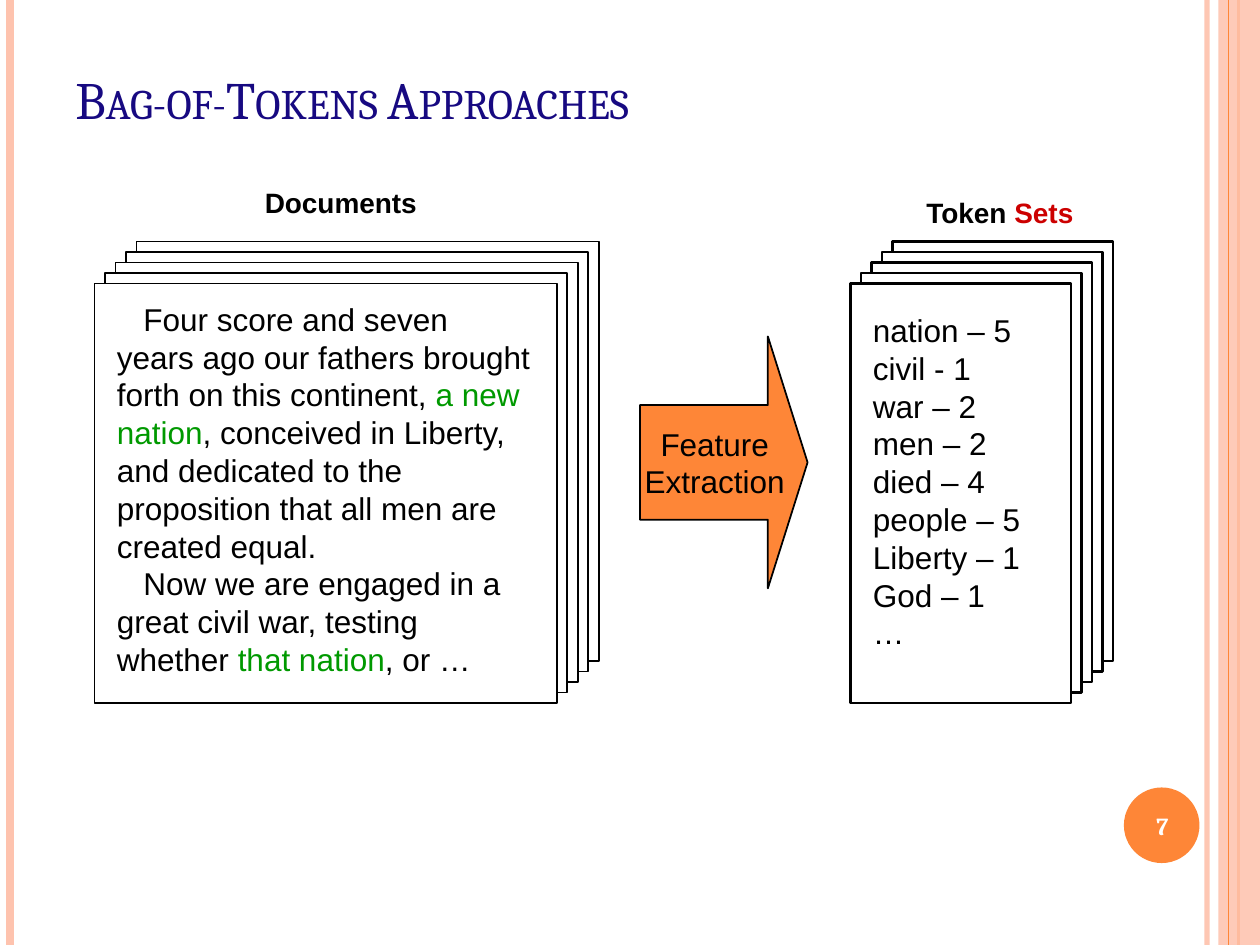
from lxml import etree
from pptx import Presentation
from pptx.dml.color import RGBColor
from pptx.enum.shapes import MSO_CONNECTOR, MSO_SHAPE
from pptx.enum.text import MSO_ANCHOR, PP_ALIGN
from pptx.oxml.ns import qn
from pptx.util import Inches, Pt

LINE = MSO_CONNECTOR.STRAIGHT
RECT, OVAL, ARROW = MSO_SHAPE.RECTANGLE, MSO_SHAPE.OVAL, MSO_SHAPE.RIGHT_ARROW
TOP, MID, BASE = MSO_ANCHOR.TOP, MSO_ANCHOR.MIDDLE, MSO_ANCHOR.BOTTOM
LEFT, CENTER = PP_ALIGN.LEFT, PP_ALIGN.CENTER

BLACK = RGBColor(0x00, 0x00, 0x00)
WHITE = RGBColor(0xFF, 0xFF, 0xFF)
ORANGE = RGBColor(0xFE, 0x86, 0x37)
PEACH = RGBColor(0xFE, 0xC3, 0xAE)
NAVY = RGBColor(0x17, 0x09, 0x81)
GREEN = RGBColor(0x00, 0x99, 0x00)
RED = RGBColor(0xCC, 0x00, 0x00)

# Content: a paragraph is a list of runs, each (text, colour)
TITLE = [[("Bag-of-Tokens Approaches", NAVY)]]
SPEECH = [
    [("Four score and seven years ago our fathers brought forth on this continent, ", BLACK),
     ("a new nation", GREEN),
     (", conceived in Liberty, and dedicated to the proposition that all men are "
      "created equal.", BLACK)],
    [("Now we are engaged in a great civil war, testing whether ", BLACK),
     ("that nation", GREEN), (", or …", BLACK)],
]
COUNTS = ["nation – 5", "civil - 1", "war – 2", "men – 2", "died – 4",
          "people – 5", "Liberty – 1", "God – 1", "…"]
TOKENS = [[(count, BLACK)] for count in COUNTS]
STEP = [[("Feature", BLACK)], [("Extraction", BLACK)]]
LABELS = [
    ((2, 1.42, 1.41, 0.37), [[("Documents", BLACK)]]),
    ((7.24, 1.5, 1.39, 0.37), [[("Token ", BLACK), ("Sets", RED)]]),
]
# Page stacks: left of front page, page width, line width, text box, text, indent
STACKS = [
    (0.75, 3.67, 1, (0.83, 2.33, 3.5, 3.1), SPEECH, 0.21),
    (6.75, 1.75, 1.25, (6.83, 2.42, 1.58, 2.8), TOKENS, 0),
]
PAGES, SHIFT, FRONT, TALL = 5, 1 / 12, 2.25, 3.33
NUMBER = [[("7", WHITE)]]

deck = Presentation()
deck.slide_width, deck.slide_height = Inches(10), Inches(7.5)
slide = deck.slides.add_slide(deck.slide_layouts[6])


def fade(fill, percent):
    color = fill._xPr.find(qn("a:solidFill"))[0]
    etree.SubElement(color, qn("a:alpha"), val=str(percent * 1000))


def rule(x, color, width, alpha=None):
    line = slide.shapes.add_connector(LINE, Inches(x), 0, Inches(x), Inches(7.5))
    line.line.color.rgb, line.line.width = color, Pt(width)
    if alpha:
        fade(line.line.fill, alpha)
    etree.SubElement(line._element.spPr, qn("a:effectLst"))


def block(home, kind, box, fill, width=None):
    shape = home.shapes.add_shape(kind, *map(Inches, box))
    shape.shadow.inherit = False
    shape.fill.solid()
    shape.fill.fore_color.rgb = fill
    if width:
        shape.line.color.rgb, shape.line.width = BLACK, Pt(width)
    else:
        shape.line.fill.background()
    return shape


def write(shape, text, size=18, font="Arial", bold=False, align=LEFT,
          anchor=TOP, wrap=True, indent=0, small=False, pitch=None):
    frame = shape.text_frame
    frame.word_wrap, frame.vertical_anchor = wrap, anchor
    for i, runs in enumerate(text):
        para = frame.add_paragraph() if i else frame.paragraphs[0]
        para.alignment = align
        if pitch:
            para.line_spacing = Pt(pitch)
        if indent:
            para._p.get_or_add_pPr().set("indent", str(Inches(indent)))
        for words, color in runs:
            run = para.add_run()
            run.text = words
            run.font.name, run.font.size = font, Pt(size)
            run.font.bold, run.font.color.rgb = bold, color
            if small:
                run.font._element.set("cap", "small")


def textbox(home, box):
    return home.shapes.add_textbox(*map(Inches, box))


# Side bands and page badge
rule(9.58, PEACH, 3, alpha=93)
rule(0.08, PEACH, 4.5)
rule(9.83, ORANGE, 1.5)
band = block(slide, RECT, (9.67, 0, 0.33, 7.5), PEACH)
fade(band.fill, 87)
rule(9.75, ORANGE, 0.75)
block(slide, OVAL, (8.92, 6.25, 0.6, 0.6), ORANGE)

# Title
write(textbox(slide, (0.5, 0.33, 9, 0.75)), TITLE, size=30, font="Cambria",
      anchor=BASE, small=True)

# Stacks of pages, back to front
for left, wide, width, box, text, indent in STACKS:
    group = slide.shapes.add_group_shape()
    for n in reversed(range(PAGES)):
        block(group, RECT, (left + n * SHIFT, FRONT - n * SHIFT, wide, TALL),
              WHITE, width)
    write(textbox(group, box), text, indent=indent, pitch=21.6)

# Arrow between the stacks
arrow = block(slide, ARROW, (5.08, 2.67, 1.33, 2), ORANGE, 1)
arrow.adjustments[0], arrow.adjustments[1] = 0.455, 0.237
write(arrow, STEP, align=CENTER, anchor=MID, wrap=False, pitch=21.6)

# Labels and page number
for box, text in LABELS:
    write(textbox(slide, box), text, size=16, bold=True, align=CENTER, wrap=False)
write(textbox(slide, (8.89, 6.27, 0.67, 0.57)), NUMBER, size=14, font="Cambria",
      bold=True, align=CENTER, anchor=MID)

deck.save("out.pptx")
